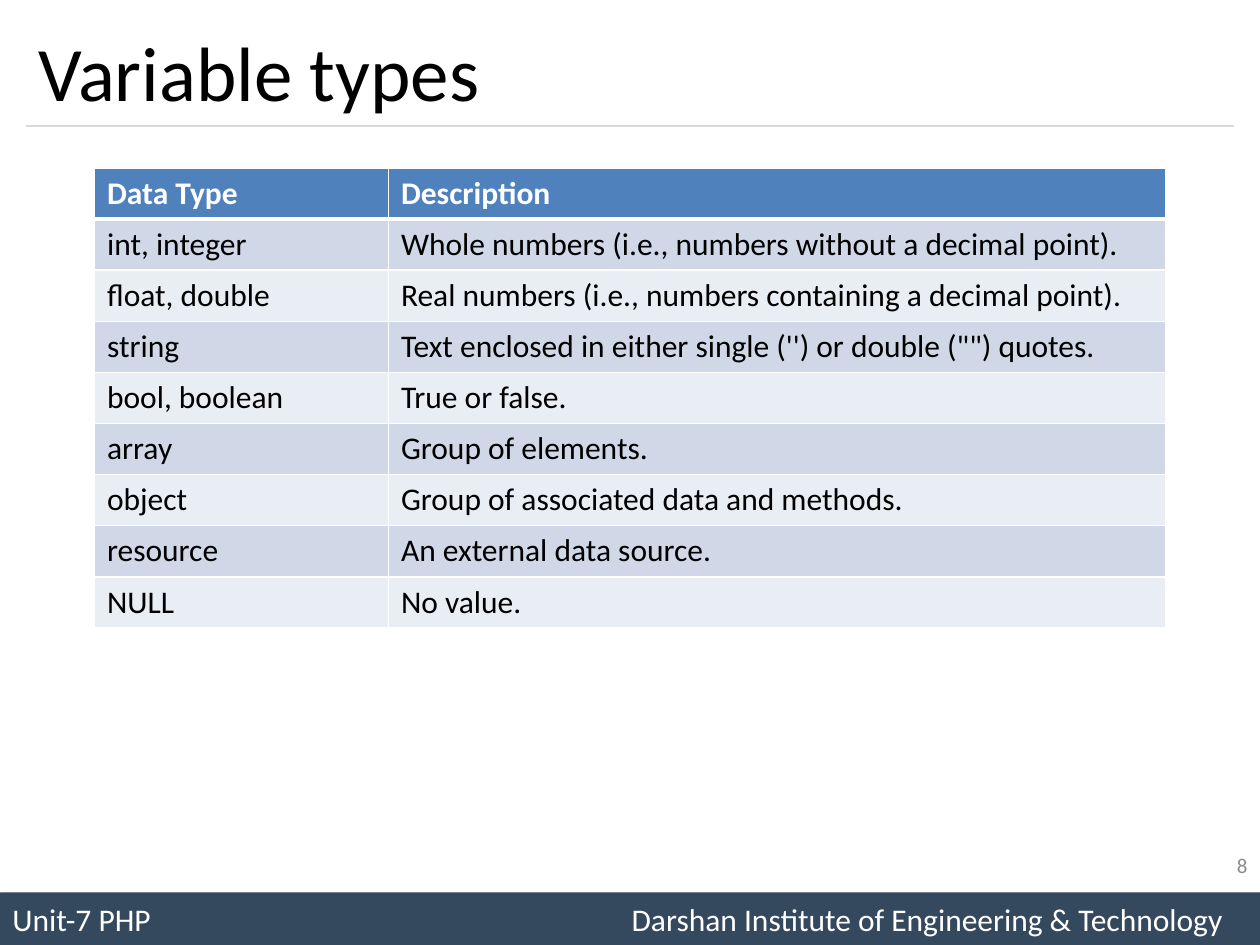
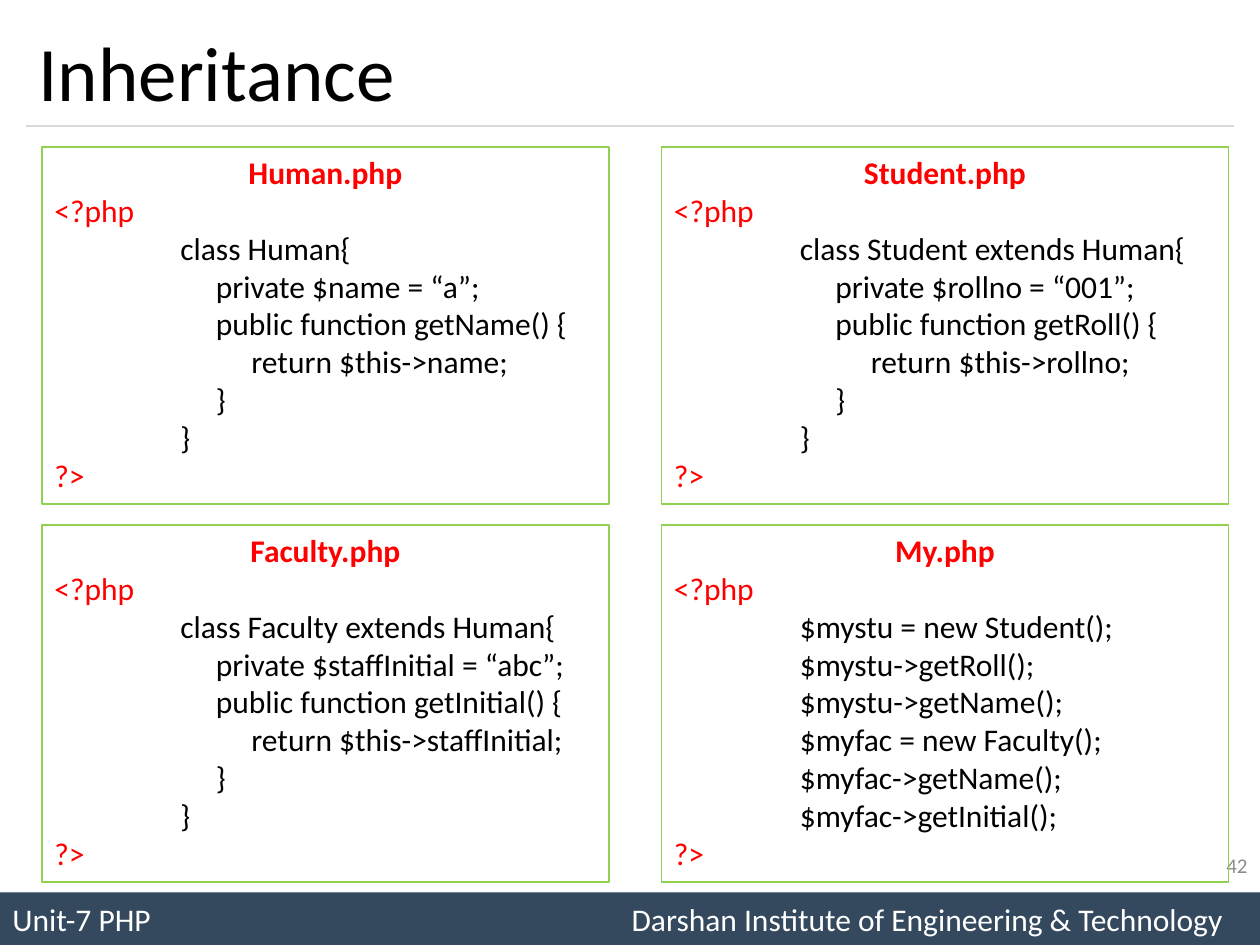
from lxml import etree
from pptx import Presentation, util as u
from pptx.dml.color import RGBColor
from pptx.enum import shapes, text
from pptx.oxml import ns

UNIT = 12  # grid cells to the inch: 120 columns by 90 rows
COLUMNS, ROWS = 120, 90
MARGIN = 2.5
FONT = "Calibri"
BLACK, WHITE, RED = "000000", "FFFFFF", "FF0000"
NAVY, RULE, GREY = "34495E", "D9D9D9", "8C8C8C"
HEADER, BANDS, FRAME = "4F81BD", ("D0D8E8", "E9EDF4"), "92D050"
UNIT_NAME = "Unit-7 PHP"
SCHOOL = "Darshan Institute of Engineering & Technology"

DATA_TYPES = [
    ("Data Type", "Description"),
    ("int, integer", "Whole numbers (i.e., numbers without a decimal point)."),
    ("float, double", "Real numbers (i.e., numbers containing a decimal point)."),
    ("string", "Text enclosed in either single ('') or double (\"\") quotes."),
    ("bool, boolean", "True or false."),
    ("array", "Group of elements."),
    ("object", "Group of associated data and methods."),
    ("resource", "An external data source."),
    ("NULL", "No value."),
]


def color(value):
    return RGBColor.from_string(value)


def grid(*cells):
    return [u.Inches(cell / UNIT) for cell in cells]


def add_xml(parent, tag, **attributes):
    return etree.SubElement(parent, ns.qn(tag), attributes)


def add_tab(para, column, align):
    tabs = add_xml(para._p.get_or_add_pPr(), "a:tabLst")
    add_xml(tabs, "a:tab", pos=str(grid(column)[0]), algn=align)


def class_code(heading, field, value, getter):
    step = " " * 5
    return [f"class {heading}{{",
            f"{step}private ${field} = “{value}”;",
            f"{step}public function {getter}() {{",
            f"{step * 2}return $this->{field};",
            f"{step}}}",
            "}"]


class Slides:
    def __init__(self):
        self.deck = Presentation()
        self.deck.slide_width, self.deck.slide_height = grid(COLUMNS, ROWS)
        self.page = None

    def style(self, para, size, ink, bold=False, align=text.PP_ALIGN.LEFT):
        para.alignment = align
        for span in para.runs:
            font = span.font
            font.name, font.size, font.bold = FONT, u.Pt(size), bold
            font.color.rgb = color(ink)

    def label(self, words, place, size, ink, align=text.PP_ALIGN.LEFT):
        box = self.page.shapes.add_textbox(*grid(*place))
        frame = box.text_frame
        frame.word_wrap = True
        frame.vertical_anchor = text.MSO_ANCHOR.MIDDLE
        frame.text = words
        self.style(frame.paragraphs[0], size, ink, align=align)

    def rectangle(self, place, fill=None, line=None):
        box = self.page.shapes.add_shape(shapes.MSO_SHAPE.RECTANGLE, *grid(*place))
        box.shadow.inherit = False
        if fill:
            box.fill.solid()
            box.fill.fore_color.rgb = color(fill)
        else:
            box.fill.background()
        if line:
            box.line.color.rgb = color(line)
            box.line.width = u.Pt(0.75)
        else:
            box.line.fill.background()
        box.text_frame.word_wrap = True
        return box

    def footer(self):
        band = self.rectangle((0, 85, COLUMNS, 5), fill=NAVY)
        effects = band._element.spPr.find(ns.qn("a:effectLst"))
        shadow = add_xml(effects, "a:outerShdw", blurRad=str(u.Pt(4)),
                         dist=str(u.Pt(3)), dir="2700000", rotWithShape="0")
        add_xml(add_xml(shadow, "a:srgbClr", val=BLACK), "a:alpha", val="40000")
        frame = band.text_frame
        frame.vertical_anchor = text.MSO_ANCHOR.MIDDLE
        frame.text = f"{UNIT_NAME}\t{SCHOOL}"
        para = frame.paragraphs[0]
        add_tab(para, 115.3, "r")
        self.style(para, 18, WHITE)

    def rule(self, row):
        ends = grid(MARGIN, row, COLUMNS - MARGIN, row)
        line = self.page.shapes.add_connector(shapes.MSO_CONNECTOR.STRAIGHT, *ends)
        line.line.color.rgb = color(RULE)
        line.line.width = u.Pt(0.75)
        add_xml(line._element.spPr, "a:effectLst")

    def start(self, title, number):
        self.page = self.deck.slides.add_slide(self.deck.slide_layouts[6])
        self.footer()
        self.rule(12)
        self.label(title, (MARGIN, 1.5, COLUMNS - 2 * MARGIN, 10.5), 44, BLACK)
        self.label(str(number), (92, 80, 28, 4.8), 12, GREY, text.PP_ALIGN.RIGHT)

    def borders(self, cell, top, bottom):
        properties = cell._tc.get_or_add_tcPr()
        for side, width in zip("LRTB", (1, 1, top, bottom)):
            line = add_xml(properties, f"a:ln{side}", w=str(u.Pt(width)))
            add_xml(add_xml(line, "a:solidFill"), "a:srgbClr", val=WHITE)

    def table(self, records, left, top, widths, row_height):
        place = grid(left, top, sum(widths), row_height * len(records))
        table = self.page.shapes.add_table(len(records), len(widths), *place).table
        for column, width in zip(table.columns, grid(*widths)):
            column.width = width
        for r, record in enumerate(records):
            heading = r == 0
            table.rows[r].height = grid(row_height)[0]
            for c, words in enumerate(record):
                cell = table.cell(r, c)
                self.borders(cell, 3 if r == 1 else 1, 3 if heading else 1)
                cell.fill.solid()
                cell.fill.fore_color.rgb = color(HEADER if heading else BANDS[(r - 1) % 2])
                cell.text_frame.text = words
                self.style(cell.text_frame.paragraphs[0], 18,
                           WHITE if heading else BLACK, heading)

    def code_box(self, name, code, place):
        frame = self.rectangle(place, line=FRAME).text_frame
        frame.vertical_anchor = text.MSO_ANCHOR.TOP
        body = [f"\t{line}" for line in code]
        frame.text = "\n".join([name, "<?php", *body, "?>"])
        title, opening, *lines, closing = frame.paragraphs
        self.style(title, 18, RED, True, text.PP_ALIGN.CENTER)
        for para in (opening, closing):
            self.style(para, 18, RED)
        for para in lines:
            add_tab(para, 12, "l")
            self.style(para, 18, BLACK)


def main():
    slides = Slides()

    # Table of data types
    slides.start("Variable types", 8)
    slides.table(DATA_TYPES, 9, 16, (28, 74), 4.87)

    # Four source files, two to a row
    slides.start("Inheritance", 42)
    files = [
        ("Human.php", class_code("Human", "name", "a", "getName")),
        ("Student.php", class_code("Student extends Human", "rollno", "001", "getRoll")),
        ("Faculty.php", class_code("Faculty extends Human", "staffInitial", "abc",
                                   "getInitial")),
        ("My.php", ["$mystu = new Student();",
                    "$mystu->getRoll();",
                    "$mystu->getName();",
                    "$myfac = new Faculty();",
                    "$myfac->getName();",
                    "$myfac->getInitial();"]),
    ]
    for index, (name, code) in enumerate(files):
        row, column = divmod(index, 2)
        slides.code_box(name, code, (4 + 59 * column, 14 + 36 * row, 54, 34))

    slides.deck.save("out.pptx")


if __name__ == "__main__":
    main()
